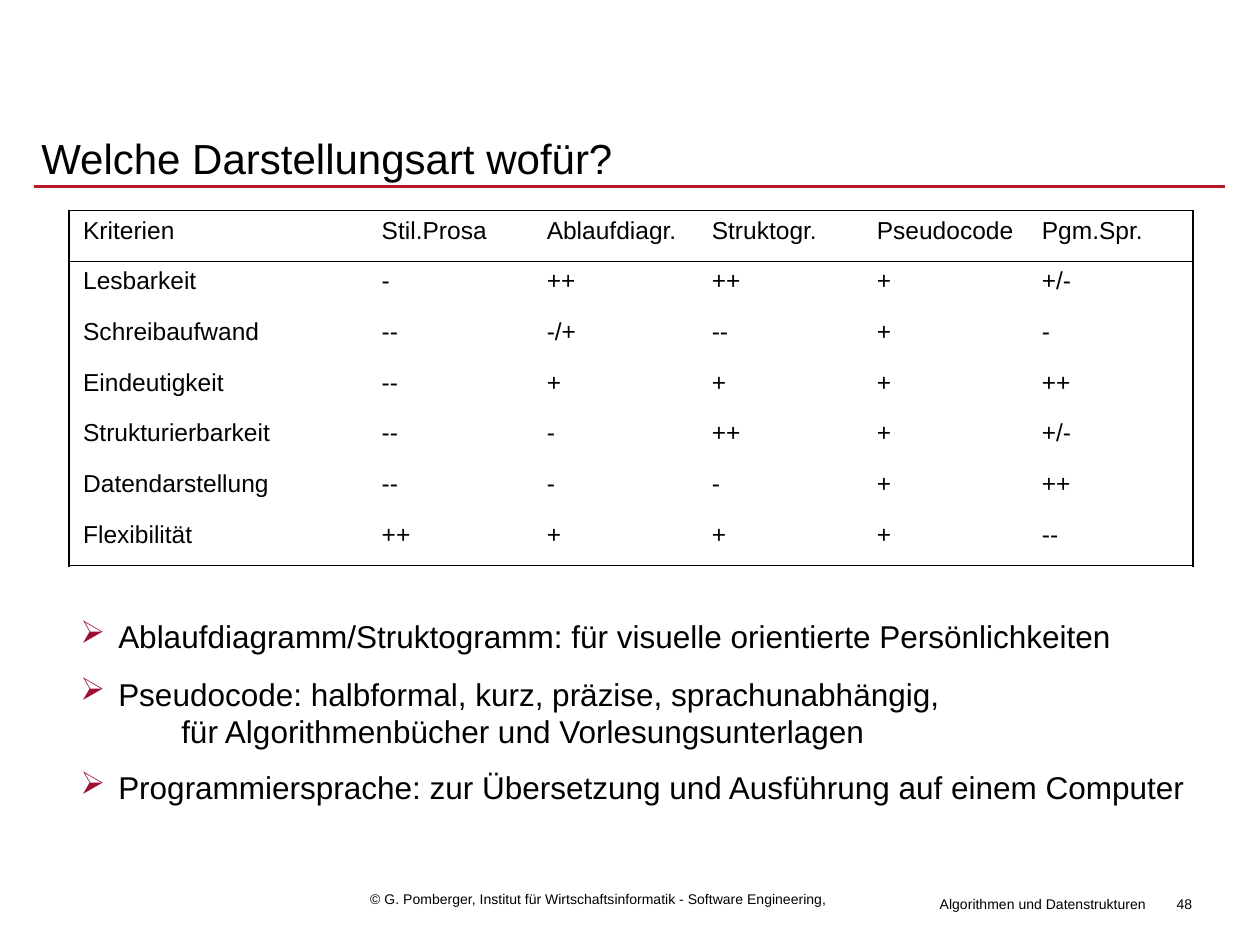
from dataclasses import dataclass

from lxml.etree import SubElement
from pptx import Presentation
from pptx.dml.color import RGBColor
from pptx.enum.shapes import MSO_CONNECTOR
from pptx.enum.text import MSO_ANCHOR, PP_ALIGN
from pptx.oxml import parse_xml
from pptx.oxml.ns import nsdecls, qn
from pptx.util import Inches, Pt


@dataclass(frozen=True)
class Theme:
    font: str = "Arial"
    ink: str = "000000"
    rule: str = "B61A29"
    mark: str = "9D0E2F"
    title: int = 24
    body: int = 18
    cell: int = 14
    foot: int = 8
    frame: float = 1.08
    thin: float = 0.45


CRITERIA = [
    ("Kriterien", "Stil.Prosa", "Ablaufdiagr.", "Struktogr.", "Pseudocode", "Pgm.Spr."),
    ("Lesbarkeit", "-", "++", "++", "+", "+/-"),
    ("Schreibaufwand", "--", "-/+", "--", "+", "-"),
    ("Eindeutigkeit", "--", "+", "+", "+", "++"),
    ("Strukturierbarkeit", "--", "-", "++", "+", "+/-"),
    ("Datendarstellung", "--", "-", "-", "+", "++"),
    ("Flexibilität", "++", "+", "+", "+", "--"),
]
WIDTHS = [2.37] + [1.31] * 5

POINTS = [
    ("Ablaufdiagramm/Struktogramm: für visuelle orientierte Persönlichkeiten", 11.2),
    ("Pseudocode: halbformal, kurz, präzise, sprachunabhängig,\v"
     "\tfür Algorithmenbücher und Vorlesungsunterlagen", 11.2),
    ("Programmiersprache: zur Übersetzung und Ausführung auf einem Computer", 10),
]

FOOTERS = [
    ("© G. Pomberger, Institut für Wirtschaftsinformatik - Software Engineering,",
     (2.84, 7.02, 3.86, 0.24), PP_ALIGN.LEFT),
    ("Algorithmen und Datenstrukturen", (7.36, 7.06, 1.89, 0.24), PP_ALIGN.LEFT),
    ("48", (9.02, 7.06, 0.54, 0.24), PP_ALIGN.RIGHT),
]


def apply(item, values):
    for name, value in values.items():
        setattr(item, name, value)


def indent(para, left, first):
    props = para._p.get_or_add_pPr()
    props.set("marL", str(Inches(left)))
    props.set("indent", str(Inches(first)))
    return props


class Page:
    def __init__(self, slide, theme):
        self.slide = slide
        self.theme = theme

    def fill(self, para, text, size, **values):
        """Put styled text into a paragraph."""
        para.text = text
        apply(para, values)
        for run in para.runs:
            apply(run.font, {"name": self.theme.font, "size": Pt(size)})
            run.font.color.rgb = RGBColor.from_string(self.theme.ink)

    def frame(self, box, anchor=MSO_ANCHOR.TOP):
        frame = self.slide.shapes.add_textbox(*map(Inches, box)).text_frame
        apply(frame, {"word_wrap": True, "vertical_anchor": anchor})
        return frame

    def text(self, text, box, size, anchor=MSO_ANCHOR.TOP, **values):
        self.fill(self.frame(box, anchor).paragraphs[0], text, size, **values)

    def line(self, start, end, width):
        line = self.slide.shapes.add_connector(
            MSO_CONNECTOR.STRAIGHT, *map(Inches, start + end))
        line.line.width = Pt(width)
        line.line.color.rgb = RGBColor.from_string(self.theme.rule)
        SubElement(line._element.spPr, qn("a:effectLst"))

    def border(self, cell, sides):
        """Draw the sides given a width; clear those given None."""
        props = cell._tc.get_or_add_tcPr()
        for place, (side, width) in enumerate(sides.items()):
            fill = (f'<a:solidFill><a:srgbClr val="{self.theme.ink}"/></a:solidFill>'
                    if width else "<a:noFill/>")
            props.insert(place, parse_xml(
                f'<a:ln{side} {nsdecls("a")} w="{Pt(width or 0)}">{fill}</a:ln{side}>'))

    def table(self, rows, widths, box):
        table = self.slide.shapes.add_table(
            len(rows), len(widths), *map(Inches, box)).table
        apply(table, {"first_row": False, "horz_banding": False})
        for col, width in zip(table.columns, widths):
            col.width = Inches(width)
        thick, thin = self.theme.frame, self.theme.thin
        end, last = len(rows) - 1, len(widths) - 1
        for r, row in enumerate(rows):
            for c, text in enumerate(row):
                cell = table.cell(r, c)
                cell.fill.background()
                para = cell.text_frame.paragraphs[0]
                self.fill(para, text, self.theme.cell, space_after=Pt(10.5))
                indent(para, 0.1, -0.09)
                self.border(cell, {
                    "L": thick if c == 0 else None,
                    "R": thick if c == last else None,
                    "T": {0: thick, 1: thin}.get(r),
                    "B": {0: thin, end: thick}.get(r),
                })

    def bullets(self, points, box):
        frame = self.frame(box)
        for i, (text, gap) in enumerate(points):
            para = frame.add_paragraph() if i else frame.paragraphs[0]
            self.fill(para, text, self.theme.body, space_before=Pt(gap))
            props = indent(para, 0.5, -0.3)
            color = SubElement(props, qn("a:buClr"))
            SubElement(color, qn("a:srgbClr"), val=self.theme.mark)
            SubElement(props, qn("a:buChar"), char="➢")
            tabs = SubElement(props, qn("a:tabLst"))
            SubElement(tabs, qn("a:tab"), pos=str(Inches(1)), algn="l")


def main():
    deck = Presentation()
    apply(deck, {"slide_width": Inches(10), "slide_height": Inches(7.5)})
    theme = Theme()
    page = Page(deck.slides.add_slide(deck.slide_layouts[6]), theme)
    page.line((0.27, 1.48), (9.72, 1.48), 1.75)
    for text, box, align in FOOTERS:
        page.text(text, box, theme.foot, alignment=align, space_before=Pt(5))
    page.text("Welche Darstellungsart wofür?", (0.23, 0.87, 9.53, 0.76),
              theme.title, MSO_ANCHOR.MIDDLE)
    page.table(CRITERIA, WIDTHS, (0.55, 1.67, 8.9, 2.82))
    page.bullets(POINTS, (0.34, 4.85, 9.32, 1.6))
    deck.save("out.pptx")


if __name__ == "__main__":
    main()
